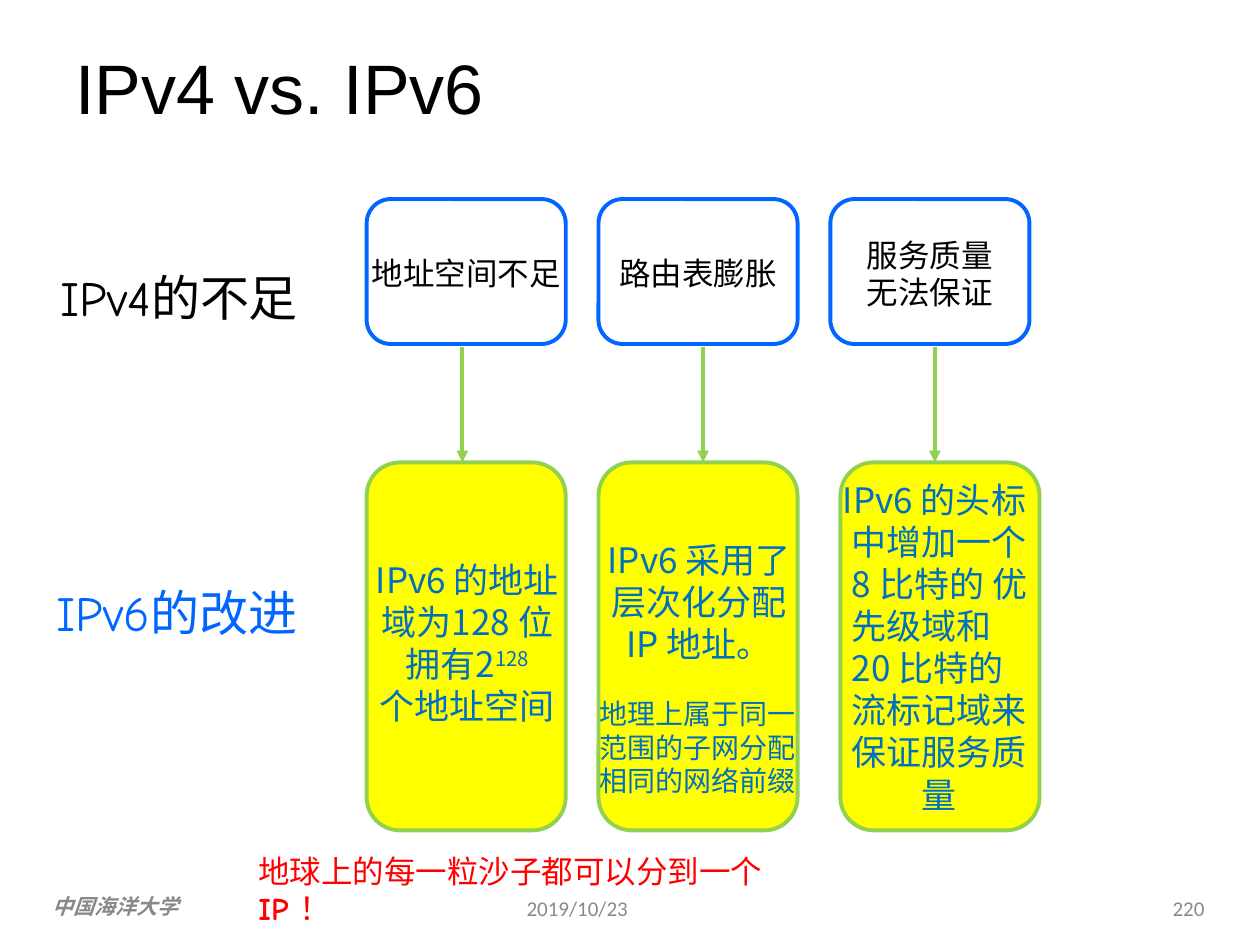
import pptx
import pptx.dml.color
import pptx.enum.shapes
import pptx.enum.text
import pptx.oxml
import pptx.oxml.ns
import pptx.util

COLORS = {
    "black": "000000", "blue": "0066FF", "teal": "006FC0", "yellow": "FFFF00",
    "green": "92D050", "red": "FF0000", "grey": "898989", "school": "888888",
}
CJK = "Noto Sans CJK SC"
COMIC = "Comic Neue"
ALIGN = pptx.enum.text.PP_ALIGN
ANCHOR = pptx.enum.text.MSO_ANCHOR
LEFT_EDGE, PITCH, BOX_WIDTH = 2.91, 1.84, 1.58
PROBLEM_TOP, PROBLEM_HEIGHT = 1.58, 1.15
SOLUTION_TOP, SOLUTION_HEIGHT = 3.67, 2.92
LINE_WIDTH = 2.25


def column(index):
    return LEFT_EDGE + index * PITCH


def inches(*lengths):
    return [pptx.util.Inches(length) for length in lengths]


def rgb(name):
    return pptx.dml.color.RGBColor.from_string(COLORS[name])


def style_run(run, size, color, font=CJK):
    run.font.size = pptx.util.Pt(size)
    run.font.color.rgb = rgb(color)
    run.font.name = font
    east_asian = pptx.oxml.parse_xml(
        f'<a:ea {pptx.oxml.ns.nsdecls("a")} typeface="{CJK}"/>')
    run.font._element.find(pptx.oxml.ns.qn("a:latin")).addnext(east_asian)


def add_text(slide, place, text, size, color, font=CJK, align=ALIGN.LEFT):
    frame = slide.shapes.add_textbox(*inches(*place)).text_frame
    frame.word_wrap = True
    frame.margin_left = frame.margin_right = 0
    frame.margin_top = frame.margin_bottom = 0
    frame.text = text
    for paragraph in frame.paragraphs:
        paragraph.alignment = align
        paragraph.line_spacing = pptx.util.Pt(size * 1.2)
        for run in paragraph.runs:
            style_run(run, size, color, font)
    return frame


def add_card(slide, place, line, fill=None):
    card = slide.shapes.add_shape(
        pptx.enum.shapes.MSO_SHAPE.ROUNDED_RECTANGLE, *inches(*place))
    card.shadow.inherit = False
    card.line.color.rgb = rgb(line)
    card.line.width = pptx.util.Pt(LINE_WIDTH)
    if fill:
        card.fill.solid()
        card.fill.fore_color.rgb = rgb(fill)
    else:
        card.fill.background()


def add_arrow(slide, x):
    arrow = slide.shapes.add_connector(
        pptx.enum.shapes.MSO_CONNECTOR.STRAIGHT,
        *inches(x, PROBLEM_TOP + PROBLEM_HEIGHT + 0.02, x, SOLUTION_TOP))
    arrow.line.color.rgb = rgb("green")
    arrow.line.width = pptx.util.Pt(LINE_WIDTH)
    namespace = pptx.oxml.ns.nsdecls("a")
    arrow.line._get_or_add_ln().append(
        pptx.oxml.parse_xml(f'<a:tailEnd {namespace} type="triangle"/>'))
    arrow._element.spPr.append(pptx.oxml.parse_xml(f"<a:effectLst {namespace}/>"))


def add_title(slide, text):
    title = slide.shapes.title
    title.left, title.top, title.width, title.height = inches(0.5, 0.3, 9, 1.25)
    title.text_frame.text = text
    title.text_frame.vertical_anchor = ANCHOR.TOP
    paragraph = title.text_frame.paragraphs[0]
    paragraph.alignment = ALIGN.LEFT
    paragraph.runs[0].font.size = pptx.util.Pt(40)
    paragraph.runs[0].font.name = "Arial"
    paragraph.runs[0].font.color.rgb = rgb("black")


def add_problems(slide):
    problems = [("地址空间不足", 2.02), ("路由表膨胀", 2.02), ("服务质量\v无法保证", 1.87)]
    for index, (problem, top) in enumerate(problems):
        left = column(index)
        add_card(slide, (left, PROBLEM_TOP, BOX_WIDTH, PROBLEM_HEIGHT), "blue")
        add_text(slide, (left, top, BOX_WIDTH, 0.3), problem, 18, "black",
                 align=ALIGN.CENTER)


def add_solutions(slide):
    lefts = [column(0), column(1), column(2) + 0.08]
    for left in lefts:
        add_card(slide, (left, SOLUTION_TOP, BOX_WIDTH, SOLUTION_HEIGHT),
                 "green", "yellow")

    address = add_text(
        slide, (lefts[0], 4.43, 1.6, 1.33),
        "IPv6 的地址\v域为128 位\v拥有2\n个地址空间", 20, "teal", align=ALIGN.CENTER)
    exponent = address.paragraphs[0].add_run()
    exponent.text = "128"
    style_run(exponent, 20, "teal")
    exponent.font._element.set("baseline", "30000")

    add_text(slide, (lefts[1], 4.27, 1.6, 1), "IPv6 采用了\v层次化分配\vIP 地址。",
             20, "teal", align=ALIGN.CENTER)
    add_text(slide, (lefts[1] + 0.01, 5.53, 1.6, 0.8),
             "地理上属于同一\v范围的子网分配\v相同的网络前缀", 16, "teal")

    header = add_text(
        slide, (lefts[2] + 0.01, 3.8, 1.6, 2.33),
        "IPv6 的头标\v中增加一个\v8 比特的 优\v先级域和\v20 比特的\v流标记域来\v保证服务质",
        20, "teal")
    properties = header.paragraphs[0]._p.get_or_add_pPr()
    properties.set("marL", str(pptx.util.Inches(0.08)))
    properties.set("indent", str(pptx.util.Inches(-0.07)))
    add_text(slide, (7.31, 6.14, 0.31, 0.33), "量", 20, "teal")


def add_remark(slide):
    remark = add_text(slide, (2.05, 6.76, 4.68, 0.6),
                      "地球上的每一粒沙子都可以分到一个\vIP ", 18, "red", COMIC)
    paragraph = remark.paragraphs[0]
    paragraph.runs[1].font.bold = True
    exclamation = paragraph.add_run()
    exclamation.text = "！"
    style_run(exclamation, 18, "red")


def add_footer(slide):
    school = add_text(slide, (0.42, 7.09, 2.08, 0.2), "中国海洋大学", 12, "school", "Arial")
    school.paragraphs[0].runs[0].font.bold = True
    school.paragraphs[0].runs[0].font.italic = True
    for left, text, align in [(4.18, "2019/10/23", ALIGN.LEFT),
                              (7.43, "220", ALIGN.RIGHT)]:
        note = add_text(slide, (left, 7.01, 2.13, 0.4), text, 12, "grey",
                        "Calibri", align)
        note.vertical_anchor = ANCHOR.MIDDLE


def main():
    deck = pptx.Presentation()
    deck.slide_width, deck.slide_height = inches(10, 7.5)
    slide = deck.slides.add_slide(deck.slide_layouts[5])
    add_footer(slide)
    add_problems(slide)
    add_solutions(slide)
    for x in (3.67, 5.58, 7.42):
        add_arrow(slide, x)
    add_text(slide, (0.48, 2.12, 2.1, 0.48), "IPv4的不足", 28, "black", COMIC)
    add_text(slide, (0.45, 4.62, 2.1, 0.48), "IPv6的改进", 28, "blue", COMIC)
    add_remark(slide)
    add_title(slide, "IPv4 vs. IPv6")
    deck.save("out.pptx")


if __name__ == "__main__":
    main()
